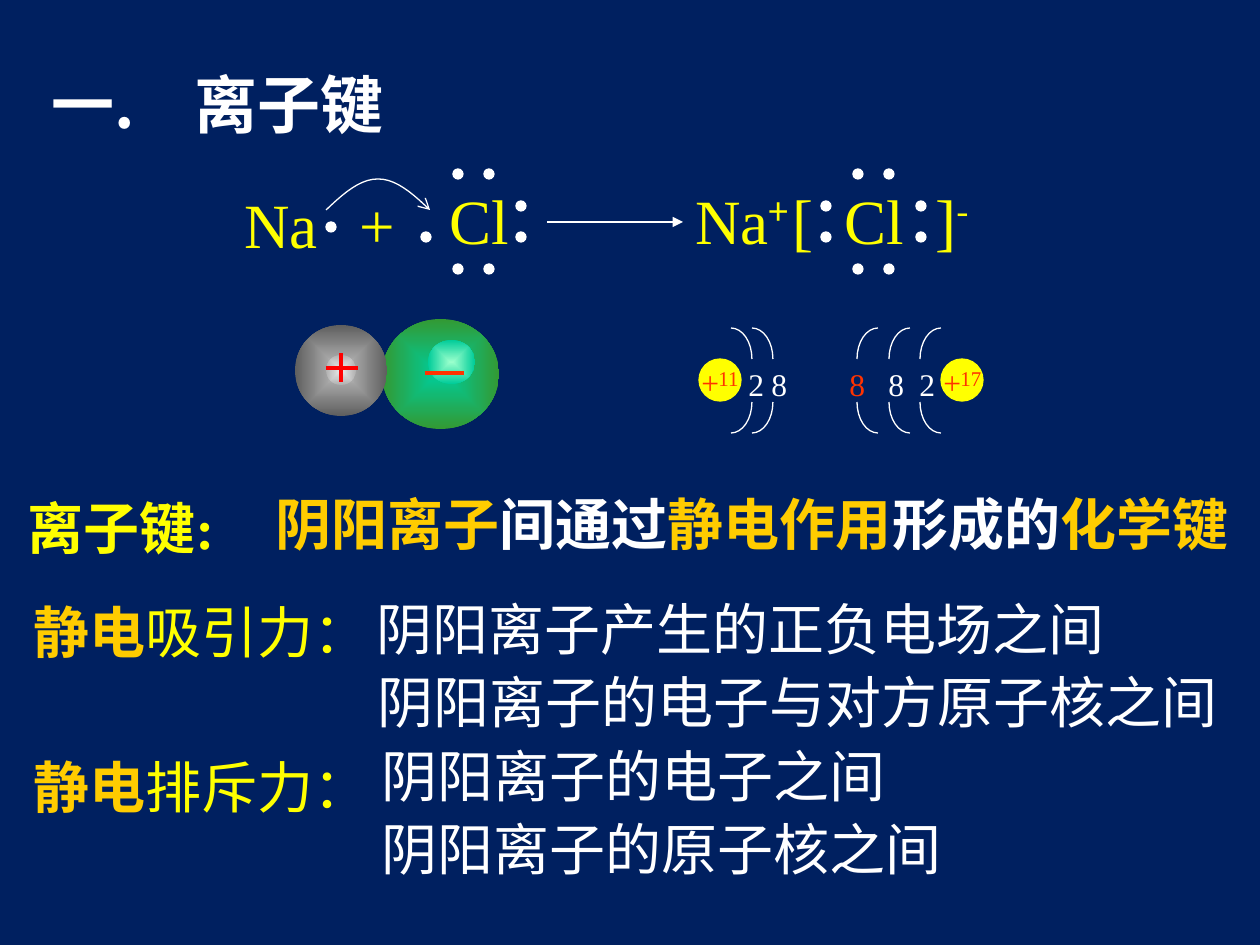
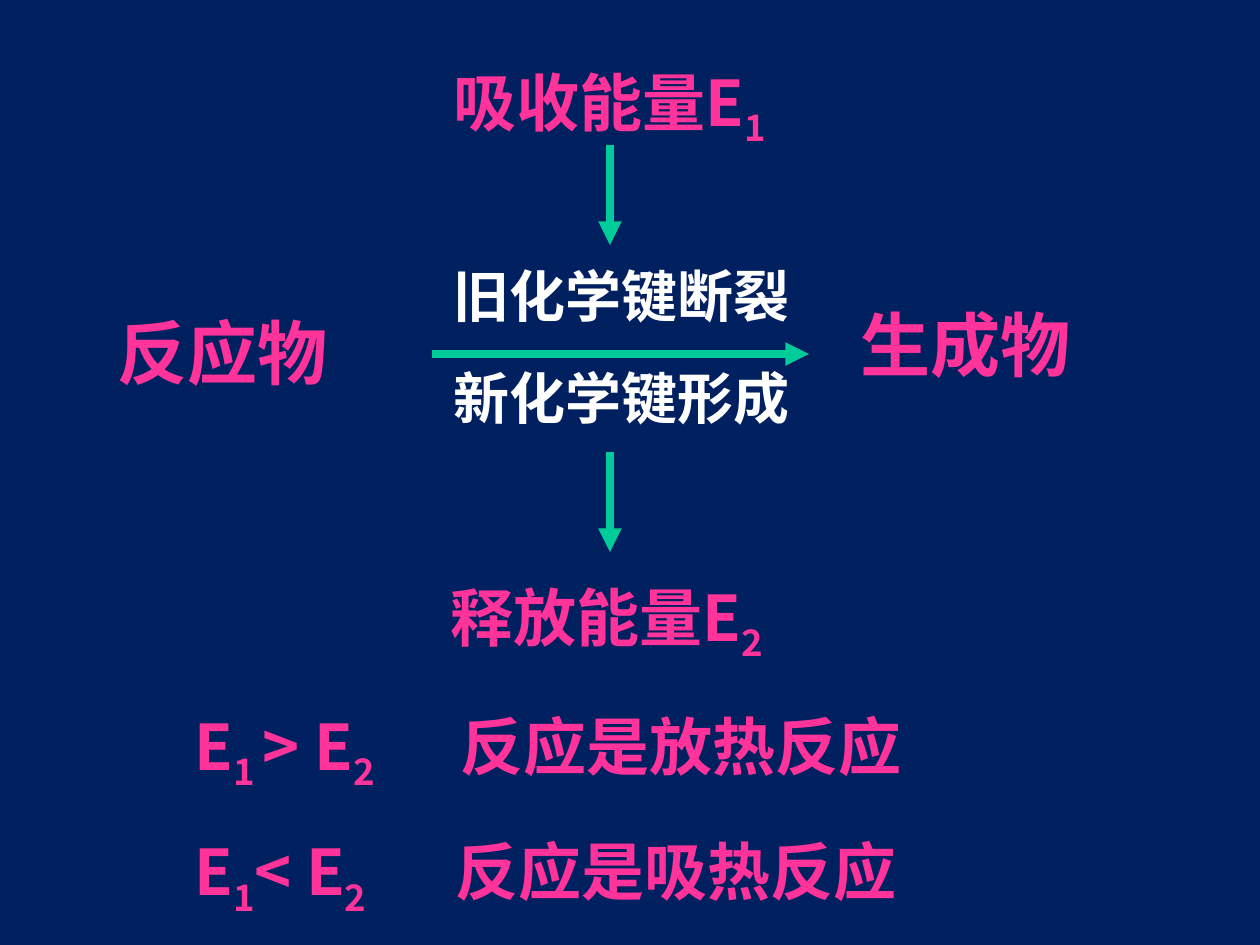
import math

from pptx import Presentation
from pptx import util as u
from pptx.dml.color import RGBColor
from pptx.enum import shapes, text
from pptx.oxml.ns import qn
from lxml import etree

PX = 914400 / 126
NAVY = RGBColor(0x00, 0x20, 0x60)
WHITE = RGBColor(0xFF, 0xFF, 0xFF)
YELLOW = RGBColor(0xFF, 0xFF, 0x00)
GOLD = RGBColor(0xFF, 0xCC, 0x00)
ORANGE = RGBColor(0xFF, 0x33, 0x00)
RED = RGBColor(0xFF, 0x00, 0x00)
PINK = RGBColor(0xFF, 0x33, 0x99)
TEAL = RGBColor(0x00, 0xCC, 0x99)
GREEN = RGBColor(0x33, 0x99, 0x33)
MINT = RGBColor(0x99, 0xFF, 0xCC)
SILVER = RGBColor(0xC0, 0xC0, 0xC0)
DARK_GRAY = RGBColor(0x5F, 0x5F, 0x5F)
PALE_GRAY = RGBColor(0xEA, 0xEA, 0xEA)
MID_GRAY = RGBColor(0xB2, 0xB2, 0xB2)
SERIF = "Times New Roman"
SANS = "Noto Sans CJK SC"
SUPER = {"base": 30, "latin": SANS}
SUB = {"base": -25}


def px(*lengths):
    """Turn px lengths into EMU."""
    return [u.Emu(round(length * PX)) for length in lengths]


def add_xml(parent, tag, **attributes):
    """Append a drawing element to a parent element."""
    return etree.SubElement(parent, qn(tag), **attributes)


def style_run(run, size=32, color=WHITE, bold=False, latin=SERIF, base=0):
    """Format one run."""
    run.font.size = u.Pt(size)
    run.font.color.rgb = color
    run.font.bold = bold
    run.font.name = latin
    properties = run.font._element
    add_xml(properties, "a:ea", typeface=SANS)
    if base:
        properties.set("baseline", str(base * 1000))


def write(frame, *lines, gap=0, tabs=(), **style):
    """Fill a text frame; a line is a list of strings or (string, overrides)."""
    frame.word_wrap = True
    frame.auto_size = text.MSO_AUTO_SIZE.NONE
    frame.vertical_anchor = text.MSO_ANCHOR.TOP
    for index, line in enumerate(lines):
        paragraph = frame.add_paragraph() if index else frame.paragraphs[0]
        paragraph.alignment = text.PP_ALIGN.LEFT
        if index:
            paragraph.space_before = u.Pt(gap)
        if tabs:
            stops = add_xml(paragraph._p.get_or_add_pPr(), "a:tabLst")
            add_xml(stops, "a:tab", pos=str(px(tabs[index])[0]), algn="l")
        for part in line:
            words, overrides = (part, {}) if isinstance(part, str) else part
            run = paragraph.add_run()
            run.text = words
            style_run(run, **{**style, **overrides})


def label(slide, box, *lines, **style):
    """Add a text box."""
    write(slide.shapes.add_textbox(*px(*box)).text_frame, *lines, **style)


def disc(slide, box, color, rim=None):
    """Add a plain disc, or one shaded from its centre to the rim colour."""
    circle = slide.shapes.add_shape(shapes.MSO_SHAPE.OVAL, *px(*box))
    circle.shadow.inherit = False
    if rim is None:
        circle.fill.solid()
        circle.fill.fore_color.rgb = color
        circle.line.color.rgb = color
        circle.line.width = u.Pt(0.75)
        return
    circle.line.fill.background()
    circle.fill.gradient()
    for stop, shade in zip(circle.fill.gradient_stops, (color, rim)):
        stop.color.rgb = shade
    gradient = circle._element.spPr.find(qn("a:gradFill"))
    gradient.remove(gradient.find(qn("a:lin")))
    centre = add_xml(gradient, "a:path", path="rect")
    add_xml(centre, "a:fillToRect", l="50000", t="50000", r="50000", b="50000")


def stroke(shape, color, width, tip=None):
    """Format the line of a connector or curve."""
    shape.line.color.rgb = color
    shape.line.width = u.Pt(width)
    if tip:
        add_xml(shape.line._get_or_add_ln(), "a:tailEnd", type=tip)


def straight(slide, start, end, color, width, tip=None):
    """Add a straight line."""
    link = slide.shapes.add_connector(shapes.MSO_CONNECTOR.STRAIGHT, *px(*start, *end))
    stroke(link, color, width, tip)
    add_xml(link._element.spPr, "a:effectLst")


def curve(slide, points, tip=None):
    """Add an open thin white curve through points."""
    points = [px(*point) for point in points]
    builder = slide.shapes.build_freeform(*points[0])
    builder.add_line_segments(points[1:], close=False)
    arc = builder.convert_to_shape()
    arc.shadow.inherit = False
    arc.fill.background()
    stroke(arc, WHITE, 0.75, tip)


def chlorine_dots(slide, x, y, left_dots):
    """Place the outer electrons around a chlorine symbol."""
    pair = (32, 63)
    spots = [(across, edge) for edge in (0, 95) for across in pair]
    spots += [(95, down) for down in pair] + [(0, down) for down in left_dots]
    for across, down in spots:
        disc(slide, (x + across, y + down, 10, 10), WHITE)


def electron_equation(slide, x, y):
    """Draw the formation of sodium chloride in electron dots."""
    symbols = [(0, 10, ["Na"]), (115, 10, ["+"]), (205, 6, ["Cl"]),
               (451, 6, ["Na", ("+", SUPER)]), (548, 6, ["["]),
               (600, 6, ["Cl"]), (691, 6, ["]", ("-", SUPER)])]
    for across, down, symbol in symbols:
        label(slide, (x + across, y + down, 130, 88), symbol, size=36, color=YELLOW)
    disc(slide, (x + 94, y + 53, 10, 10), WHITE)
    chlorine_dots(slide, x + 189, y, (63,))
    chlorine_dots(slide, x + 589, y, (32, 63))
    straight(slide, (x + 315, y + 53), (x + 451, y + 53), WHITE, 0.75, "triangle")
    steps = [step / 10 for step in range(-10, 11)]
    curve(slide, [(x + 146 + 52 * t, y + 41 - 31 * math.cos(t * math.pi / 2))
                  for t in steps], "arrow")


def ion_structure(slide, x, y, charge, side, shells, electrons):
    """Draw a nucleus with its shells on one side, right (1) or left (-1)."""
    angles = [step * math.pi / 16 for step in range(9)]
    for shell in shells:
        for edge, inward in ((-31, 1), (74, -1)):
            curve(slide, [(x + shell + side * 21 * math.sin(a),
                           y + edge + inward * 31 * (1 - math.cos(a))) for a in angles])
    for across, count, color in electrons:
        label(slide, (x + across, y, 50, 50), [count], size=18, color=color)
    disc(slide, (x, y, 42, 42), YELLOW)
    label(slide, (x - 10, y - 2, 43, 50), ["+"], size=18, color=ORANGE)
    label(slide, (x + 7, y, 57, 38), [charge], size=12, color=ORANGE)


def ion_pair(slide, x, y):
    """Draw the touching positive and negative ions."""
    disc(slide, (x + 87, y, 117, 110), TEAL, GREEN)
    disc(slide, (x + 133, y + 21, 47, 44), MINT, TEAL)
    straight(slide, (x + 130, y + 54), (x + 169, y + 54), ORANGE, 2.25)
    disc(slide, (x, y + 6, 92, 91), SILVER, DARK_GRAY)
    disc(slide, (x + 31, y + 36, 30, 30), PALE_GRAY, MID_GRAY)
    straight(slide, (x + 31, y + 49), (x + 63, y + 49), RED, 2.25)
    straight(slide, (x + 46, y + 63), (x + 46, y + 34), RED, 2.25)


def definitions(slide, x, y):
    """Write the definition of the ionic bond and its two forces."""
    gold = {"color": GOLD}
    label(slide, (x, y + 4, 240, 81), ["离子键:"], color=YELLOW, bold=True)
    label(slide, (x + 248, y, 990, 81),
          [("阴阳离子", gold), "间通过", ("静电作用", gold), "形成的", ("化学键", gold)],
          bold=True)
    for down, force in ((108, "吸引力："), (263, "排斥力：")):
        label(slide, (x + 6, y + down, 375, 81),
              [("静电", {"color": GOLD, "bold": True}), force], color=YELLOW)
    places = ["阴阳离子产生的正负电场之间", "阴阳离子的电子与对方原子核之间",
              "阴阳离子的电子之间", "阴阳离子的原子核之间"]
    for row, (across, place) in enumerate(zip((349, 350, 354, 354), places)):
        label(slide, (x + across, y + 105 + 73.5 * row, 880, 81), [place])


def energy_flow(slide, x, y):
    """Draw reactants turning into products with the energy taken and given."""
    pink = {"color": PINK, "bold": True}
    label(slide, (x, y + 246, 277, 97), ["反应物"], size=40, **pink)
    label(slide, (x + 743, y + 238, 297, 97), ["生成物"], size=40, **pink)
    label(slide, (x + 336, y + 198, 367, 183), ["旧化学键断裂"], ["新化学键形成"],
          bold=True, gap=20)
    label(slide, (x + 336, y, 367, 100), ["吸收能量E", ("1", SUB)],
          size=36, latin=SANS, **pink)
    label(slide, (x + 333, y + 515, 391, 100), ["释放能量E", ("2", SUB)],
          size=36, latin=SANS, **pink)
    straight(slide, (x + 327, y + 297), (x + 704, y + 297), TEAL, 4.5, "triangle")
    for top in (88, 395):
        straight(slide, (x + 505, y + top), (x + 505, y + top + 100), TEAL, 4.5, "triangle")


def energy_rules(slide, x, y):
    """Compare the two energies to tell the type of reaction."""
    label(slide, (x, y, 894, 224),
          ["E", ("1 ", SUB), "> E", ("2", SUB), "\t反应是放热反应"],
          ["E", ("1", SUB), "< E", ("2", SUB), "\t反应是吸热反应"],
          size=36, color=PINK, bold=True, latin=SANS, gap=22.5, tabs=(266, 261))


def new_slide(deck, layout):
    """Add a slide with the shared background."""
    slide = deck.slides.add_slide(deck.slide_layouts[layout])
    slide.background.fill.solid()
    slide.background.fill.fore_color.rgb = NAVY
    return slide


def ionic_bond_slide(deck):
    """Build the slide on the ionic bond."""
    slide = new_slide(deck, 5)
    title = slide.shapes.title
    title.left, title.top, title.width, title.height = px(39, 59, 473, 88)
    write(title.text_frame, ["一.\t离子键"], size=36, bold=True, latin=SANS, tabs=(143,))
    electron_equation(slide, 232, 169)
    ion_pair(slide, 295, 319)
    ion_structure(slide, 699, 359, "11", 1, (32, 53),
                  [(37, "2", WHITE), (60, "8", WHITE)])
    ion_structure(slide, 941, 359, "17", -1, (-63, -31, 0),
                  [(-104, "8", ORANGE), (-65, "8", WHITE), (-34, "2", WHITE)])
    definitions(slide, 15, 483)


def reaction_energy_slide(deck):
    """Build the slide on energy in a reaction."""
    slide = new_slide(deck, 6)
    energy_flow(slide, 105, 57)
    energy_rules(slide, 182, 701)


def main():
    """Build and save the deck."""
    deck = Presentation()
    deck.slide_width, deck.slide_height = px(1260, 945)
    ionic_bond_slide(deck)
    reaction_energy_slide(deck)
    deck.save("out.pptx")


if __name__ == "__main__":
    main()
